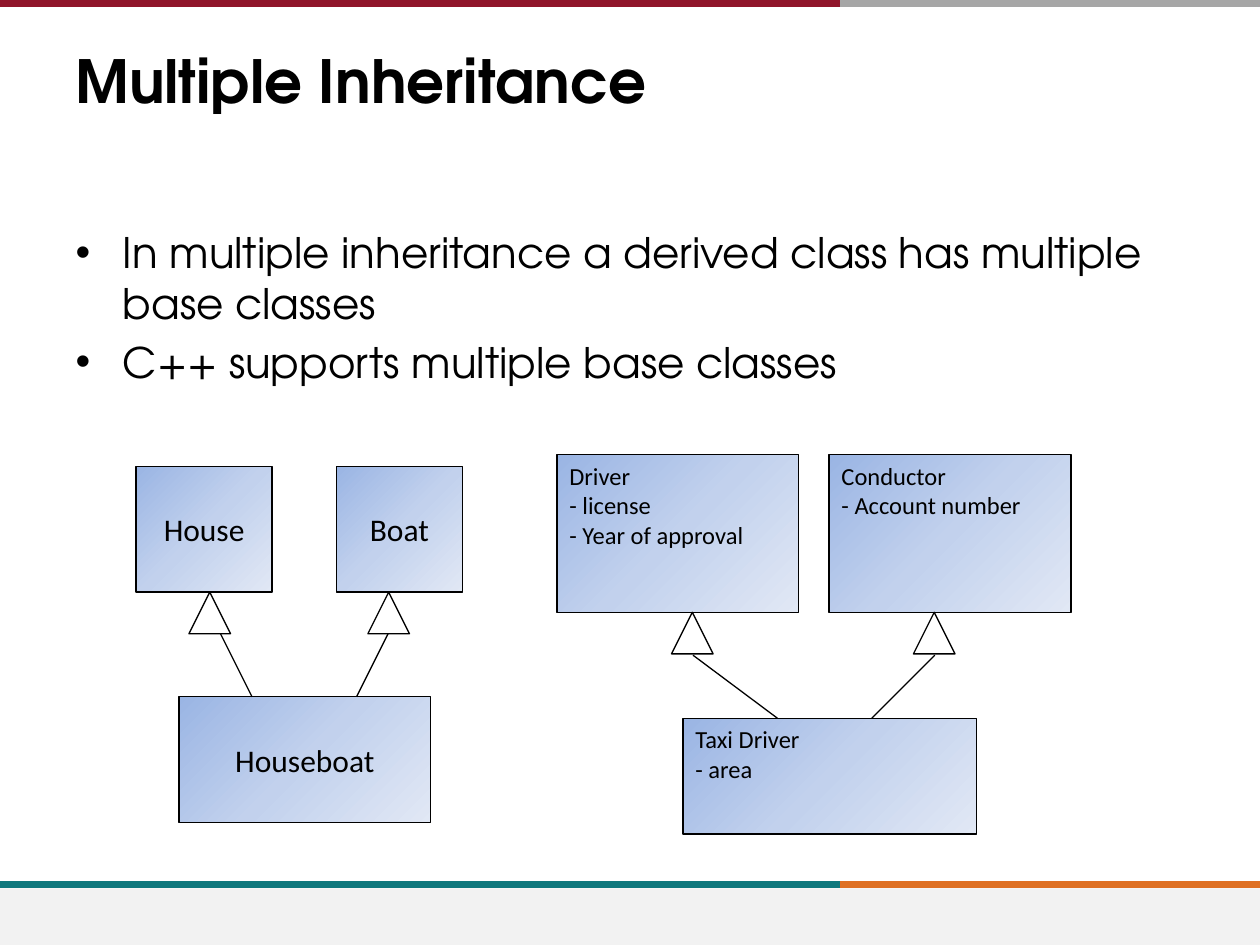
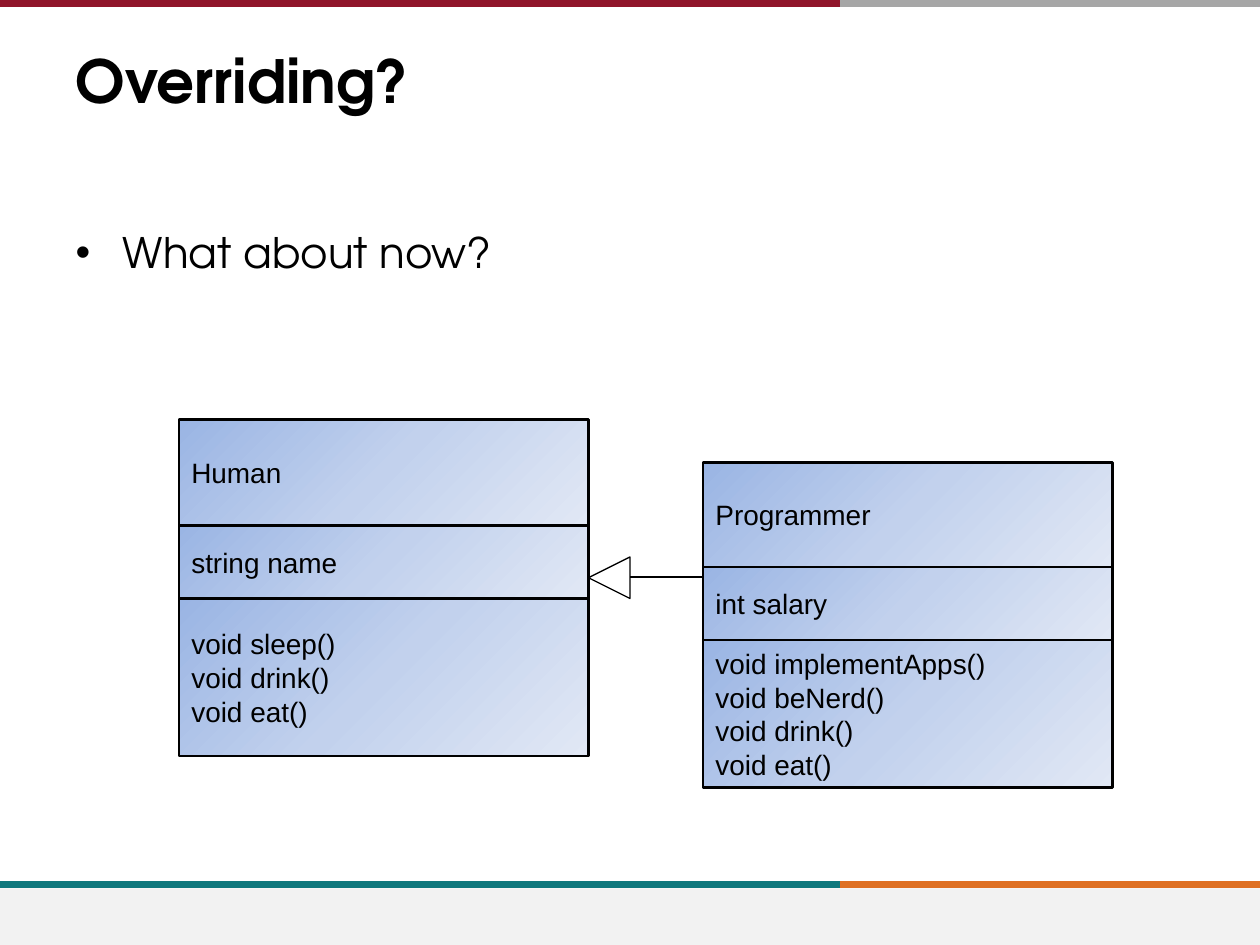
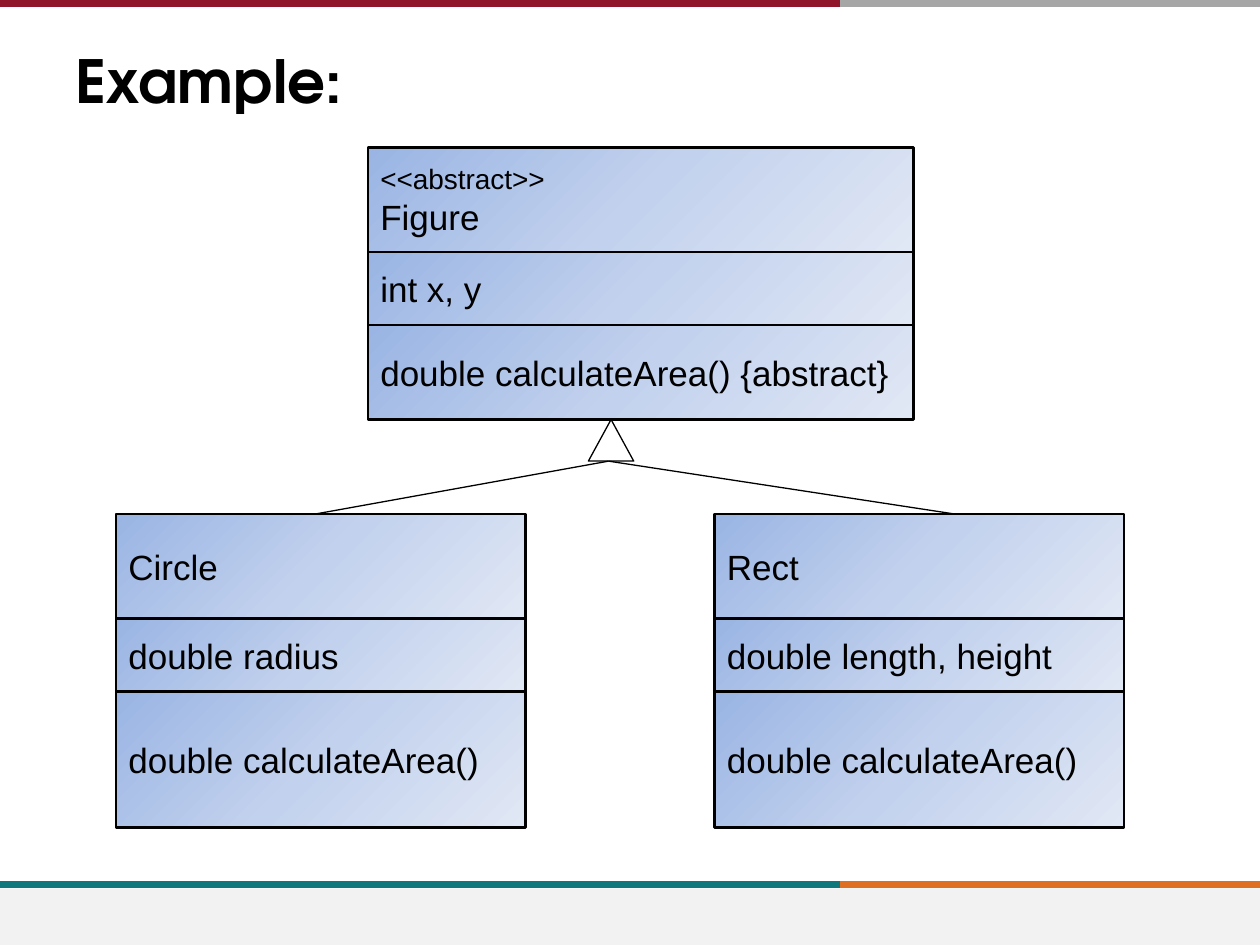
from copy import deepcopy

from lxml import etree
from pptx import Presentation
from pptx.dml.color import RGBColor
from pptx.enum.shapes import MSO_CONNECTOR, MSO_SHAPE
from pptx.enum.text import MSO_ANCHOR, MSO_AUTO_SIZE, PP_ALIGN
from pptx.oxml.ns import qn
from pptx.util import Inches, Pt

RECTANGLE = MSO_SHAPE.RECTANGLE
TRIANGLE = MSO_SHAPE.ISOSCELES_TRIANGLE
STRAIGHT = MSO_CONNECTOR.STRAIGHT
TOP, MIDDLE = MSO_ANCHOR.TOP, MSO_ANCHOR.MIDDLE
LEFT, CENTER = PP_ALIGN.LEFT, PP_ALIGN.CENTER
NO_AUTOFIT = MSO_AUTO_SIZE.NONE

BLACK = RGBColor(0x00, 0x00, 0x00)
RED = RGBColor(0x90, 0x15, 0x2A)
GRAY = RGBColor(0xA6, 0xA6, 0xA6)
TEAL = RGBColor(0x0F, 0x78, 0x7D)
ORANGE = RGBColor(0xDF, 0x70, 0x23)
FOOTER_GRAY = RGBColor(0xF2, 0xF2, 0xF2)
BOX_GRADIENT = [
    (0, RGBColor(0x9A, 0xB5, 0xE4)),
    (0.5, RGBColor(0xC2, 0xD1, 0xED)),
    (1, RGBColor(0xE1, 0xE8, 0xF5)),
]
HEADING_FONT = "TeX Gyre Adventor"
BAND_SPLIT = 6.67


def add_line(slide, start, end, color=BLACK, width=0.75):
    connector = slide.shapes.add_connector(
        STRAIGHT, *[Inches(value) for value in (*start, *end)])
    connector.line.color.rgb = color
    connector.line.width = Pt(width)
    etree.SubElement(connector.element.spPr, qn("a:effectLst"))
    return connector


def add_box(slide, bounds, lines, font_name, line_width, anchor=MIDDLE, alignment=LEFT):
    box = slide.shapes.add_shape(RECTANGLE, *[Inches(value) for value in bounds])
    box.shadow.inherit = False
    box.line.color.rgb = BLACK
    box.line.width = Pt(line_width)
    box.fill.gradient()
    box.fill.gradient_angle = 315
    stop_list = box.element.spPr.find(".//" + qn("a:gsLst"))
    stop_list.insert(1, deepcopy(stop_list[0]))
    for stop, (position, color) in zip(box.fill.gradient_stops, BOX_GRADIENT):
        stop.position = position
        stop.color.rgb = color
    frame = box.text_frame
    frame.word_wrap = False
    frame.vertical_anchor = anchor
    for index, (text, size) in enumerate(lines):
        paragraph = frame.add_paragraph() if index else frame.paragraphs[0]
        paragraph.alignment = alignment
        run = paragraph.add_run()
        run.text = text
        run.font.name = font_name
        run.font.size = Pt(size)
        run.font.color.rgb = BLACK


presentation = Presentation()
presentation.slide_width = Inches(10)
presentation.slide_height = Inches(7.5)
master = presentation.slide_master
content_layout = presentation.slide_layouts.get_by_name("Title and Content")
title_layout = presentation.slide_layouts.get_by_name("Title Only")

slide_texts = [
    ("Multiple Inheritance", [
        "In multiple inheritance a derived class has multiple base classes",
        "C++ supports multiple base classes",
    ]),
    ("Overriding?", ["What about now?"]),
    ("Example:", []),
]
for title, bullets in slide_texts:
    slide = presentation.slides.add_slide(content_layout if bullets else title_layout)
    contents = [(slide.shapes.title, (0.5, 0.3, 9, 1.25), [title], 34, True)]
    if bullets:
        contents.append((slide.placeholders[1], (0.5, 1.75, 9, 4.95), bullets, 24, False))
    for placeholder, bounds, texts, size, bold in contents:
        (placeholder.left, placeholder.top,
         placeholder.width, placeholder.height) = [Inches(value) for value in bounds]
        frame = placeholder.text_frame
        frame.vertical_anchor = TOP
        frame.auto_size = NO_AUTOFIT
        for index, text in enumerate(texts):
            paragraph = frame.add_paragraph() if index else frame.paragraphs[0]
            paragraph.alignment = LEFT
            run = paragraph.add_run()
            run.text = text
            run.font.name = HEADING_FONT
            run.font.size = Pt(size)
            run.font.bold = bold
            run.font.color.rgb = BLACK

inheritance_slide, overriding_slide, example_slide = presentation.slides

bands = []
for top, left_color, right_color in [(7.02, TEAL, ORANGE), (0.03, RED, GRAY)]:
    bands.append(add_line(inheritance_slide, (BAND_SPLIT, top), (10, top), right_color, 4))
    bands.append(add_line(inheritance_slide, (0, top), (BAND_SPLIT, top), left_color, 4))
footer = inheritance_slide.shapes.add_shape(
    RECTANGLE, Inches(0), Inches(7.05), Inches(10), Inches(0.45))
footer.shadow.inherit = False
footer.fill.solid()
footer.fill.fore_color.rgb = FOOTER_GRAY
footer.line.fill.background()
for offset, shape in enumerate([*bands, footer]):
    shape.element.xpath(".//p:cNvPr")[0].set("id", str(20 + offset))
    master.shapes.element.insert(2 + offset, shape.element)

for bounds, texts in [
    ((4.42, 3.61, 1.92, 1.25), ["Driver", "- license", "- Year of approval"]),
    ((6.58, 3.61, 1.92, 1.25), ["Conductor", "- Account number"]),
    ((5.42, 5.7, 2.33, 0.92), ["Taxi Driver", "- area"]),
]:
    add_box(inheritance_slide, bounds, [(text, 14) for text in texts], "Calibri", 0.75, TOP)

for bounds, text in [
    ((1.08, 3.7, 1.08, 1), "House"),
    ((2.67, 3.7, 1, 1), "Boat"),
    ((1.42, 5.53, 2, 1), "Houseboat"),
]:
    add_box(inheritance_slide, bounds, [(text, 18)], "Calibri", 0.75, MIDDLE, CENTER)

class_diagrams = [
    (overriding_slide, 1.42, 3.33, 3.25, [
        (0.84, [("Human", 16)]),
        (0.58, [("string name", 16)]),
        (1.25, [("void sleep()", 16), ("void drink()", 16), ("void eat()", 16)]),
    ]),
    (overriding_slide, 5.58, 3.67, 3.25, [
        (0.83, [("Programmer", 16)]),
        (0.58, [("int salary", 16)]),
        (1.17, [("void implementApps()", 16), ("void beNerd()", 16),
                ("void drink()", 16), ("void eat()", 16)]),
    ]),
    (example_slide, 2.92, 1.17, 4.33, [
        (0.83, [("<<abstract>>", 16), ("Figure", 20)]),
        (0.58, [("int x, y", 20)]),
        (0.75, [("double calculateArea() {abstract}", 20)]),
    ]),
]
for left, name, fields in [
    (0.92, "Circle", "double radius"),
    (5.67, "Rect", "double length, height"),
]:
    class_diagrams.append((example_slide, left, 4.08, 3.25, [
        (0.83, [(name, 20)]),
        (0.58, [(fields, 20)]),
        (1.08, [("double calculateArea()", 20)]),
    ]))
for slide, left, top, width, compartments in class_diagrams:
    for height, lines in compartments:
        add_box(slide, (left, top, width, height), lines, "Arial", 1.5)
        top += height

for slide, left, top, width, rotation in [
    (inheritance_slide, 1.5, 4.7, 0.33, 0),
    (inheritance_slide, 2.92, 4.7, 0.33, 0),
    (inheritance_slide, 5.33, 4.86, 0.33, 0),
    (inheritance_slide, 7.25, 4.86, 0.33, 0),
    (overriding_slide, 4.67, 4.42, 0.33, 270),
    (example_slide, 4.67, 3.33, 0.36, 0),
]:
    arrowhead = slide.shapes.add_shape(
        TRIANGLE, Inches(left), Inches(top), Inches(width), Inches(0.33))
    arrowhead.shadow.inherit = False
    arrowhead.rotation = rotation
    arrowhead.fill.background()
    arrowhead.line.color.rgb = BLACK
    arrowhead.line.width = Pt(0.75)

for slide, start, end in [
    (inheritance_slide, (2, 5.53), (1.75, 5.03)),
    (inheritance_slide, (3.08, 5.03), (2.83, 5.53)),
    (inheritance_slide, (5.5, 5.2), (6.17, 5.7)),
    (inheritance_slide, (7.42, 5.2), (6.92, 5.7)),
    (overriding_slide, (5, 4.58), (5.58, 4.58)),
    (example_slide, (2.5, 4.08), (4.83, 3.66)),
    (example_slide, (7.58, 4.08), (4.83, 3.66)),
]:
    add_line(slide, start, end)

presentation.save("out.pptx")
